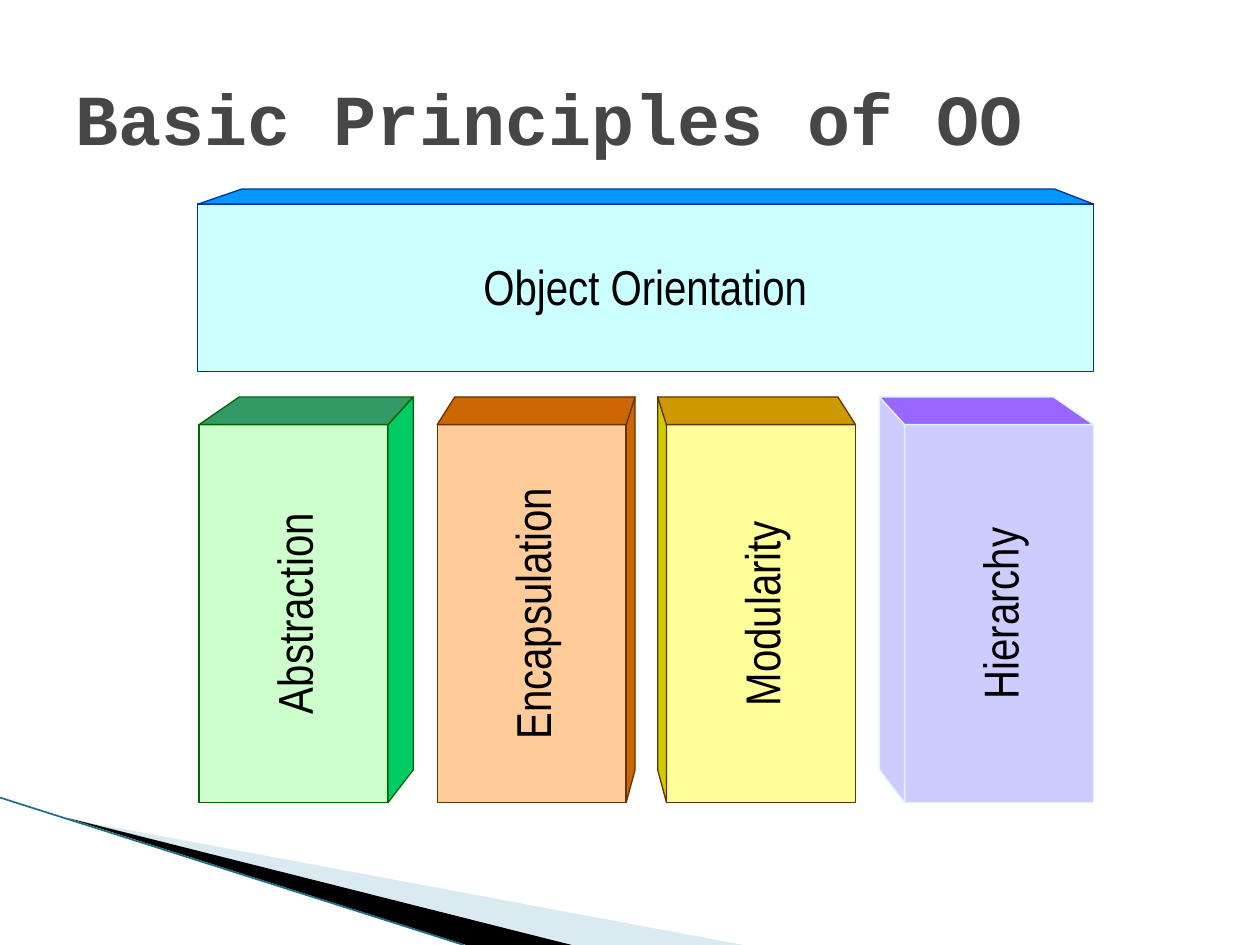
from collections import namedtuple

from lxml.etree import SubElement
from pptx import Presentation
from pptx.dml.color import RGBColor
from pptx.enum.shapes import MSO_CONNECTOR, MSO_SHAPE
from pptx.enum.text import MSO_ANCHOR, PP_ALIGN
from pptx.oxml.ns import qn
from pptx.util import Inches, Pt

PILLAR_WIDTH, PILLAR_HEIGHT = 1.5, 3
PILLAR_TOP, BACK_TOP, BACK_BOTTOM = 3.37, 3.15, 6.11
LABEL_HEIGHT = 0.59

# side is 1 for a side face on the right, -1 for one on the left
Pillar = namedtuple("Pillar", "name left side depth inset front top_face side_face edge")
PILLARS = [
    Pillar("Abstraction", 1.58, 1, 0.2, 0.32, "CCFFCC", "339966", "00CC66", "006600"),
    Pillar("Hierarchy", 7.18, -1, 0.2, 0.32, "CCCCFF", "9966FF", "CCCCFF", "DEF5FA"),
    Pillar("Encapsulation", 3.47, 1, 0.07, 0.14, "FFCC99", "CC6600", "CC6600", "663300"),
    Pillar("Modularity", 5.29, -1, 0.07, 0.14, "FFFF99", "CC9900", "CCCC00", "663300"),
]


def color(value):
    """Return the colour for a hex string."""
    return RGBColor.from_string(value)


def paint(shape, fill, edge=None):
    """Set fill and outline, without a shadow."""
    shape.shadow.inherit = False
    shape.fill.solid()
    shape.fill.fore_color.rgb = color(fill)
    if edge:
        shape.line.color.rgb = color(edge)
        shape.line.width = Pt(0.75)
    else:
        shape.line.fill.background()


def add_polygon(shapes, points, fill, edge=None):
    """Draw a closed outline through points given in inches."""
    corners = [(Inches(x), Inches(y)) for x, y in points]
    builder = shapes.build_freeform(*corners[0])
    builder.add_line_segments(corners[1:], close=True)
    polygon = builder.convert_to_shape()
    paint(polygon, fill, edge)
    return polygon


def add_front(shapes, left, top, width, height, fill, edge):
    """Draw the front face of a block."""
    front = shapes.add_shape(MSO_SHAPE.RECTANGLE, Inches(left), Inches(top),
                             Inches(width), Inches(height))
    paint(front, fill, edge)


def add_text(shapes, text, left, top, width, height, size, font, ink="000000", bold=False):
    """Add a text box with one run and return it."""
    box = shapes.add_textbox(Inches(left), Inches(top), Inches(width), Inches(height))
    box.text_frame.word_wrap = True
    para = box.text_frame.paragraphs[0]
    span = para.add_run()
    span.text = text
    span.font.size = Pt(size)
    span.font.name = font
    span.font.bold = bold
    span.font.color.rgb = color(ink)
    return box


def add_label(shapes, text, center_x, center_y, width, rotation=0):
    """Add a centred block label around a point."""
    box = add_text(shapes, text, center_x - width / 2, center_y - LABEL_HEIGHT / 2,
                   width, LABEL_HEIGHT, 28, "Arial Narrow")
    box.rotation = rotation
    frame = box.text_frame
    frame.margin_left = frame.margin_right = Inches(0.12)
    frame.margin_top = frame.margin_bottom = Inches(0.06)
    frame.paragraphs[0].alignment = PP_ALIGN.CENTER


def add_pillar(page, pillar):
    """Draw one pillar with its front, top, side and upright label."""
    shapes = page.shapes.add_group_shape().shapes
    center = pillar.left + PILLAR_WIDTH / 2
    near = center + pillar.side * PILLAR_WIDTH / 2
    far = center - pillar.side * PILLAR_WIDTH / 2
    back = near + pillar.side * pillar.depth
    bottom = PILLAR_TOP + PILLAR_HEIGHT
    add_front(shapes, pillar.left, PILLAR_TOP, PILLAR_WIDTH, PILLAR_HEIGHT,
              pillar.front, pillar.edge)
    add_polygon(shapes, [(back, BACK_TOP), (near, PILLAR_TOP), (near, bottom),
                         (back, BACK_BOTTOM)], pillar.side_face, pillar.edge)
    add_polygon(shapes, [(far, PILLAR_TOP), (far + pillar.side * pillar.inset, BACK_TOP),
                         (back, BACK_TOP), (near, PILLAR_TOP)],
                pillar.top_face, pillar.edge)
    add_label(shapes, pillar.name, center, PILLAR_TOP + PILLAR_HEIGHT / 2, 2.97, 270)


def add_beam(page):
    """Draw the beam that rests on the pillars."""
    shapes = page.shapes.add_group_shape().shapes
    add_front(shapes, 1.57, 1.62, 7.11, 1.33, "CCFFFF", "003399")
    add_polygon(shapes, [(8.68, 1.62), (8.37, 1.5), (1.92, 1.5), (1.57, 1.62)],
                "0099FF", "003399")
    add_label(shapes, "Object Orientation", 5.12, 2.27, 7.08)


def add_corner(page):
    """Draw the wedges and the line in the lower left corner."""
    pale = add_polygon(page.shapes, [(0.55, 6.5), (5.9, 7.5), (4.56, 7.5)], "A0CBDC")
    tint = pale.fill._xPr.find(qn("a:solidFill"))[0]
    SubElement(tint, qn("a:alpha"), val="40000")
    add_polygon(page.shapes, [(0.53, 6.49), (4.54, 7.5), (3.7, 7.5)], "000000")
    line = page.shapes.add_connector(MSO_CONNECTOR.STRAIGHT, Inches(0), Inches(6.33),
                                     Inches(3.68), Inches(7.5))
    line.line.color.rgb = color("1B6F83")
    line.line.width = Pt(0.95)
    SubElement(line._element.spPr, qn("a:effectLst"))


def main():
    """Build the slide and save it."""
    deck = Presentation()
    deck.slide_width, deck.slide_height = Inches(10), Inches(7.5)
    page = deck.slides.add_slide(deck.slide_layouts[6])
    add_corner(page)
    title = add_text(page.shapes, "Basic Principles of OO", 0.5, 0.3, 9, 1.25, 41,
                     "Courier New", "464646", True)
    title.text_frame.vertical_anchor = MSO_ANCHOR.MIDDLE
    add_beam(page)
    for pillar in PILLARS:
        add_pillar(page, pillar)
    deck.save("out.pptx")


main()
